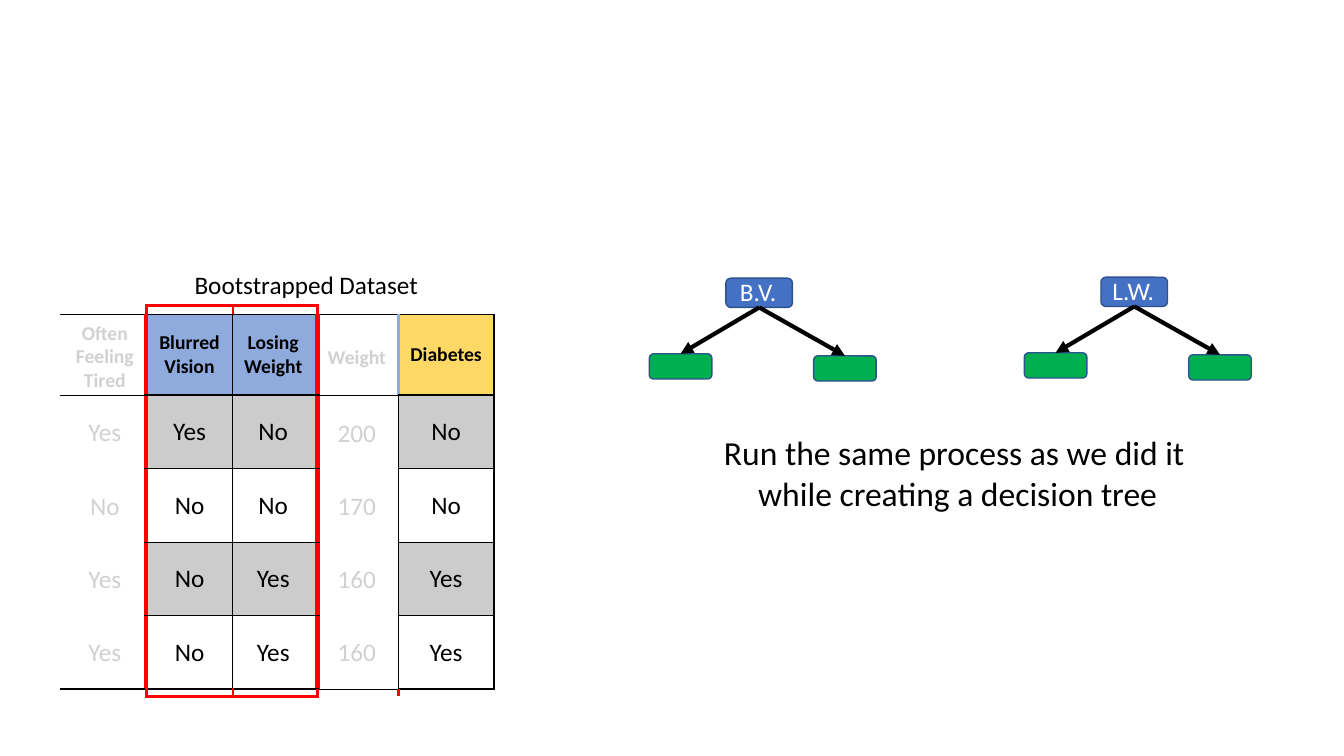
from lxml import etree
from pptx import Presentation
from pptx import util as u
from pptx.dml.color import RGBColor
from pptx.enum import shapes, text
from pptx.oxml import ns

BLACK, WHITE, RED, BLUE = "000000", "FFFFFF", "FF0000", "8FAADC"
SHADED, YELLOW = "CCCCCC", "FFD966"
GREEN, ROOT_BLUE, OUTLINE = "00AF50", "4471C4", "2E528F"

COLUMN_WIDTHS = [0.86, 0.86, 0.84, 0.8, 0.95]
ROW_HEIGHTS = [0.09, 0.8, 0.73, 0.73, 0.73, 0.73, 0.07]
FADED_COLUMNS = (0, 3)
CHOSEN_COLUMNS = (1, 2)
# The first and last rows are thin strips that close the red frame
STRIPS = (0, len(ROW_HEIGHTS) - 1)
HEADER_FILLS = {1: BLUE, 2: BLUE, 4: YELLOW}
PATIENTS = {
    1: ["Blurred Vision", "Yes", "No", "No", "No"],
    2: ["Losing Weight", "No", "No", "Yes", "Yes"],
    4: ["Diabetes", "No", "No", "Yes", "Yes"],
}


def color(value):
    return RGBColor.from_string(value)


def style(para, size, value, bold=False, align=text.PP_ALIGN.CENTER):
    para.alignment = align
    font = para.font
    font.name, font.size, font.bold = "Calibri", u.Pt(size), bold
    font.color.rgb = color(value)


def clear_margins(holder):
    holder.margin_left = holder.margin_right = 0
    holder.margin_top = holder.margin_bottom = 0


def add_frame(page, *place):
    frame = page.shapes.add_textbox(*map(u.Inches, place)).text_frame
    frame.word_wrap = True
    clear_margins(frame)
    return frame


def add_label(page, place, words, size, hanging=0):
    frame = add_frame(page, *place)
    frame.margin_top = u.Inches(0.01)
    frame.text = words
    para = frame.paragraphs[0]
    style(para, size, BLACK, align=text.PP_ALIGN.LEFT)
    if hanging:
        properties = para._p.get_or_add_pPr()
        properties.set("marL", str(u.Inches(hanging)))
        properties.set("indent", str(-u.Inches(hanging)))


# Unused columns, dimmed by a veil
def add_faded_column(page, place, header, values, gap):
    frame = add_frame(page, *place)
    frame.text = "\n".join([header, *values])
    for index, para in enumerate(frame.paragraphs):
        style(para, 18 if index else 14, BLACK, index == 0)
        if index:
            para.space_before = u.Pt(gap if index == 1 else 30.6)


def add_veil(page, left, width):
    veil = page.shapes.add_shape(
        shapes.MSO_SHAPE.RECTANGLE, *map(u.Inches, (left, 3.14, width, 3.72)))
    veil.shadow.inherit = False
    veil.fill.solid()
    veil.fill.fore_color.rgb = color(WHITE)
    tint = veil._element.spPr.find(".//" + ns.qn("a:srgbClr"))
    etree.SubElement(tint, ns.qn("a:alpha"), val="82000")
    veil.line.color.rgb = color(WHITE)
    veil.line.width = u.Pt(1)


# Dataset table
def upright_edge(row, position):
    """Line at a column boundary, as (colour, points), or None."""
    if row in STRIPS:
        ticked = position in (1, 2, 3) or (row > 0 and position == 4)
        return (RED, 2.25) if ticked else None
    if position == 4 and row == 1:
        return BLUE, 2.25
    return {1: (RED, 3), 3: (RED, 4.5), 2: (BLACK, 1),
            4: (BLACK, 1), 5: (BLACK, 1)}.get(position)


def level_edge(position, column):
    """Line at a row boundary, as (colour, points), or None."""
    faded = column in FADED_COLUMNS
    if position in (0, len(ROW_HEIGHTS)):
        return (RED, 2.25) if column in CHOSEN_COLUMNS else None
    if position == 1:
        return BLACK, 0.75
    if position == 2:
        return (BLACK, 0.75) if faded else (BLACK, 2.25)
    if position == 6:
        return (BLACK, 0.75) if column == 3 else (BLACK, 1.5)
    return None if faded else (BLACK, 1)


def set_borders(cell, row, column):
    edges = {
        "a:lnL": upright_edge(row, column),
        "a:lnR": upright_edge(row, column + 1),
        "a:lnT": level_edge(row, column),
        "a:lnB": level_edge(row + 1, column),
    }
    properties = cell._tc.get_or_add_tcPr()
    for index, (tag, edge) in enumerate(edges.items()):
        line = etree.Element(ns.qn(tag))
        properties.insert(index, line)
        if edge is None:
            etree.SubElement(line, ns.qn("a:noFill"))
            continue
        value, points = edge
        line.set("w", str(int(u.Pt(points))))
        fill = etree.SubElement(line, ns.qn("a:solidFill"))
        etree.SubElement(fill, ns.qn("a:srgbClr"), val=value)


def fill_cell(cell, row, column):
    clear_margins(cell)
    cell.vertical_anchor = text.MSO_ANCHOR.MIDDLE
    cell.fill.background()
    para = cell.text_frame.paragraphs[0]
    if row in STRIPS or column in FADED_COLUMNS:
        etree.SubElement(para._p, ns.qn("a:endParaRPr"), sz="100")
        return
    header = row == 1
    para.text = PATIENTS[column][row - 1]
    style(para, 14 if header else 18, BLACK, header)
    if column == 2:
        cell.margin_right = u.Inches(0.04)
    if header or row % 2 == 0:
        cell.fill.solid()
        cell.fill.fore_color.rgb = color(HEADER_FILLS[column] if header else SHADED)


def add_dataset(page, left, top):
    size = sum(COLUMN_WIDTHS), sum(ROW_HEIGHTS)
    table = page.shapes.add_table(
        len(ROW_HEIGHTS), len(COLUMN_WIDTHS),
        *map(u.Inches, (left, top, *size))).table
    table.first_row = table.horz_banding = False
    for column, width in zip(table.columns, COLUMN_WIDTHS):
        column.width = u.Inches(width)
    for row, height in zip(table.rows, ROW_HEIGHTS):
        row.height = u.Inches(height)
    for row in range(len(ROW_HEIGHTS)):
        for column in range(len(COLUMN_WIDTHS)):
            cell = table.cell(row, column)
            fill_cell(cell, row, column)
            set_borders(cell, row, column)
    table.cell(0, 3).merge(table.cell(0, 4))


# Decision trees
def add_node(page, place, fill, words=""):
    node = page.shapes.add_shape(
        shapes.MSO_SHAPE.ROUNDED_RECTANGLE, *map(u.Inches, place))
    node.shadow.inherit = False
    node.fill.solid()
    node.fill.fore_color.rgb = color(fill)
    node.line.color.rgb = color(OUTLINE)
    node.line.width = u.Pt(1)
    if words:
        frame = node.text_frame
        clear_margins(frame)
        frame.margin_bottom = frame.margin_right = u.Inches(0.02)
        frame.vertical_anchor = text.MSO_ANCHOR.MIDDLE
        frame.text = words
        style(frame.paragraphs[0], 18, WHITE)
    return node


def add_arrow(page, root, leaf):
    arrow = page.shapes.add_connector(shapes.MSO_CONNECTOR.STRAIGHT, 0, 0, 0, 0)
    arrow.begin_connect(root, 2)
    arrow.end_connect(leaf, 0)
    arrow.line.color.rgb = color(BLACK)
    arrow.line.width = u.Pt(3)
    etree.SubElement(arrow.line._get_or_add_ln(), ns.qn("a:tailEnd"), type="triangle")
    etree.SubElement(arrow._element.spPr, ns.qn("a:effectLst"))


def add_tree(page, left, top, words):
    root = add_node(page, (left, top, 0.66, 0.29), ROOT_BLUE, words)
    for across, down in ((-0.76, 0.75), (0.87, 0.77)):
        leaf = add_node(page, (left + across, top + down, 0.62, 0.25), GREEN)
        add_arrow(page, root, leaf)


def main():
    deck = Presentation()
    deck.slide_width, deck.slide_height = u.Inches(13.33), u.Inches(7.5)
    page = deck.slides.add_slide(deck.slide_layouts[6])

    add_faded_column(page, (0.72, 3.18, 0.64, 3.46), "Often Feeling Tired",
                     ["Yes", "No", "Yes", "Yes"], 18.3)
    add_faded_column(page, (3.24, 3.42, 0.6, 3.22), "Weight",
                     ["200", "170", "160", "160"], 34.9)
    add_label(page, (1.93, 2.66, 2.3, 0.33), "Bootstrapped Dataset", 18)
    add_veil(page, 0.6, 0.86)
    add_veil(page, 3.16, 0.79)
    add_dataset(page, 0.59, 3.03)
    add_tree(page, 7.2, 2.76, "B.V.")
    add_tree(page, 10.92, 2.75, "L.W.")
    add_label(page, (7.18, 4.28, 4.65, 0.83),
              "Run the same process as we did it while creating a decision tree",
              24, hanging=0.34)

    deck.save("out.pptx")


main()
